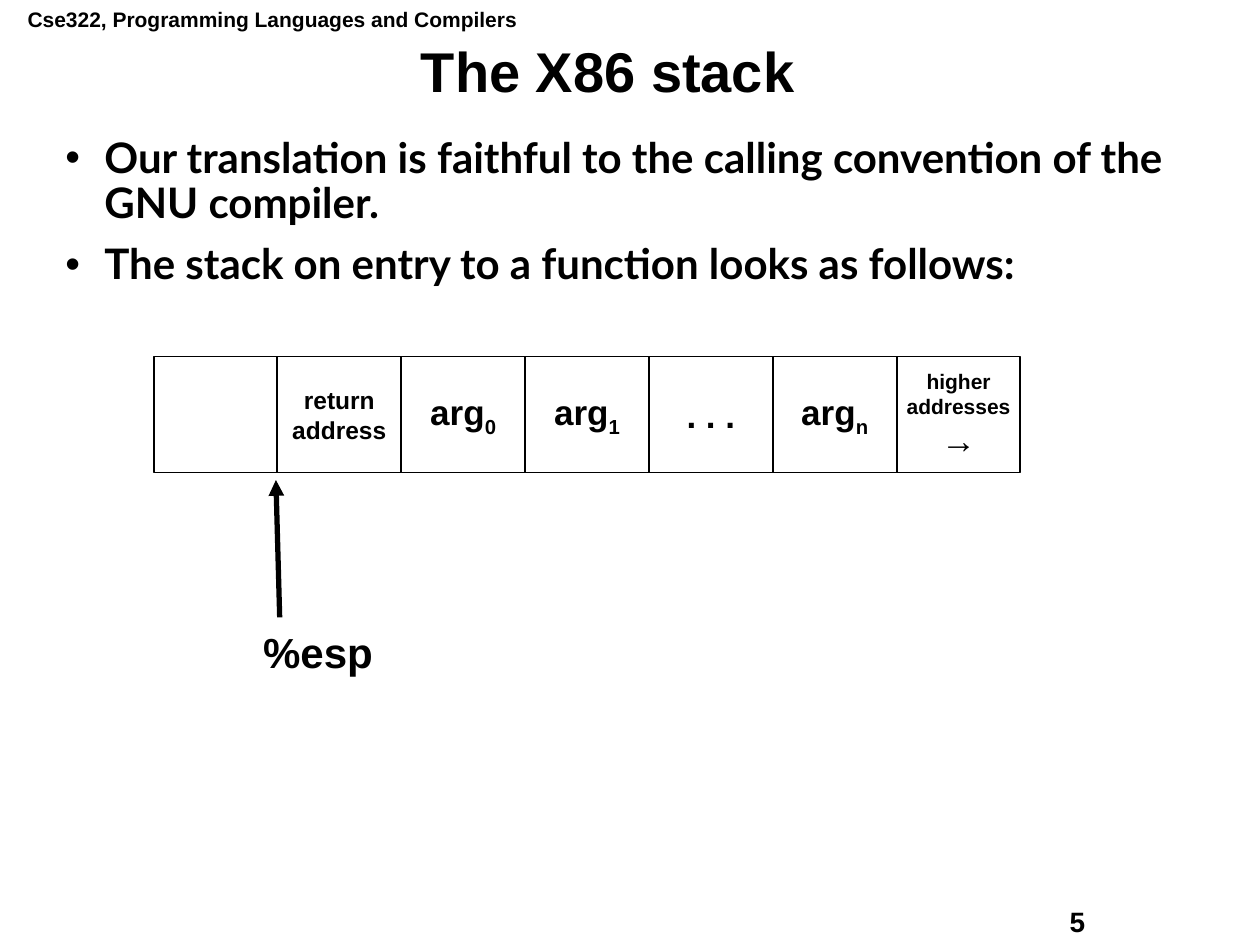
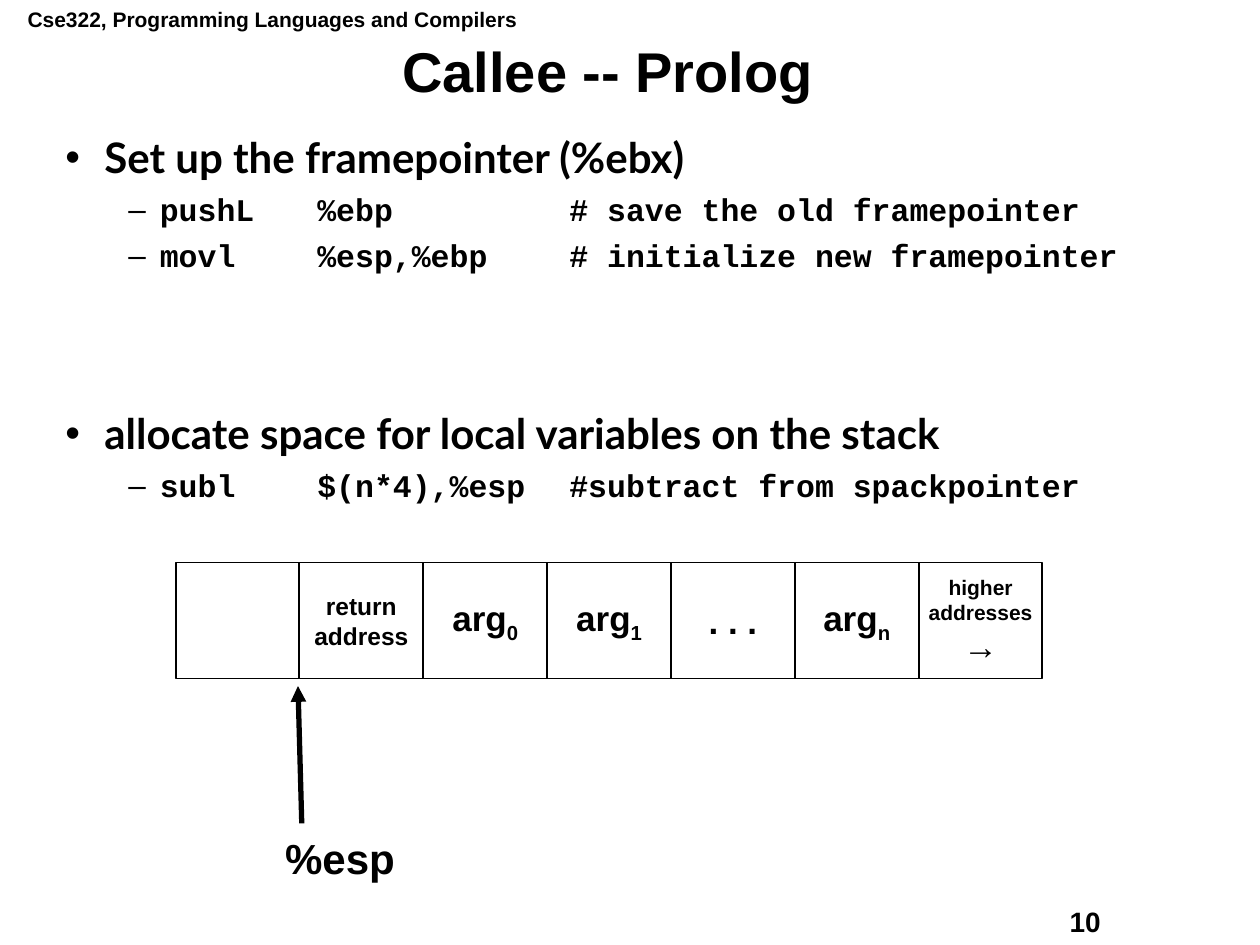
from dataclasses import dataclass

import lxml.etree
import pptx
import pptx.dml.color
import pptx.enum.shapes
import pptx.enum.text
import pptx.oxml.ns
import pptx.slide
import pptx.text.text
import pptx.util

BLACK = pptx.dml.color.RGBColor(0x00, 0x00, 0x00)
WHITE = pptx.dml.color.RGBColor(0xFF, 0xFF, 0xFF)
SANS, BODY, CODE = "Arial", "Lato", "Courier New"
CENTER = pptx.enum.text.PP_ALIGN.CENTER
MIDDLE = pptx.enum.text.MSO_ANCHOR.MIDDLE

SLIDE_WIDTH = pptx.util.Inches(10)
SLIDE_HEIGHT = pptx.util.Inches(7.5)
COURSE = "Cse322, Programming Languages and Compilers"


@dataclass(frozen=True)
class Area:
    """Left, top, width and height in percent of the slide."""
    left: float
    top: float
    width: float
    height: float

    def emu(self) -> tuple[int, int, int, int]:
        return (across(self.left), down(self.top),
                across(self.width), down(self.height))


@dataclass(frozen=True)
class Level:
    bullet: str
    font: str
    size: int
    margin: float  # inches
    hanging: float  # inches
    space_before: float  # points


@dataclass(frozen=True)
class Point:
    text: str
    level: Level
    extra_space: float = 0  # points


@dataclass(frozen=True)
class StackCell:
    lines: tuple[str, ...] = ()
    size: int = 20
    subscript: str = ""
    arrow: str = ""


@dataclass(frozen=True)
class Lesson:
    title: str
    number: int
    points: tuple[Point, ...]
    body_height: float
    stack_left: float
    stack_top: float


# Shared places, in percent of the slide
COURSE_AREA = Area(1.2, 0, 40.9, 4)
NUMBER_AREA = Area(83.9, 95.07, 12.7, 4.8)
TITLE_AREA = Area(3.1, 4.13, 90.3, 7.47)
BODY_LEFT, BODY_TOP, BODY_WIDTH = 4.2, 13.87, 89.2
CELL_PITCH, CELL_WIDTH, CELL_HEIGHT = 9.83, 9.8, 12.27

# Outline levels and the columns of the assembly code
TOPIC = Level("•", BODY, 24, 0.31, 0.31, 9)
INSTRUCTION = Level("–", CODE, 18, 0.75, 0.25, 6.8)
CODE_COLUMNS = (2, 4)

STACK = (
    StackCell(),
    StackCell(("return", "address"), 14),
    StackCell(("arg",), subscript="0"),
    StackCell(("arg",), subscript="1"),
    StackCell((". . .",)),
    StackCell(("arg",), subscript="n"),
    StackCell(("higher", "addresses"), 12, arrow="→"),
)

LESSONS = (
    Lesson("The X86 stack", 5, (
        Point("Our translation is faithful to the calling convention "
              "of the GNU compiler.", TOPIC),
        Point("The stack on entry to a function looks as follows:", TOPIC),
    ), 19.2, 12.2, 37.73),
    Lesson("Callee -- Prolog", 10, (
        Point("Set up the framepointer (%ebx)", TOPIC),
        Point("pushL\t%ebp\t# save the old framepointer", INSTRUCTION),
        Point("movl\t%esp,%ebp\t# initialize new framepointer", INSTRUCTION),
        Point("allocate space for local variables on the stack", TOPIC, 70),
        Point("subl\t$(n*4),%esp\t#subtract from spackpointer", INSTRUCTION),
    ), 79.47, 13.95, 59.53),
)


def across(percent: float) -> int:
    return round(SLIDE_WIDTH * percent / 100)


def down(percent: float) -> int:
    return round(SLIDE_HEIGHT * percent / 100)


def add_child(parent, tag: str, **attributes: str):
    child = lxml.etree.SubElement(parent, pptx.oxml.ns.qn(tag))
    for key, value in attributes.items():
        child.set(key, value)
    return child


def style(paragraph: pptx.text.text._Paragraph, size: float,
          face: str = SANS) -> None:
    for run in paragraph.runs:
        run.font.name = face
        run.font.size = pptx.util.Pt(size)
        run.font.bold = True
        run.font.color.rgb = BLACK


def add_label(slide: pptx.slide.Slide, area: Area, text: str, size: float,
              wrap: bool = False) -> None:
    frame = slide.shapes.add_textbox(*area.emu()).text_frame
    frame.word_wrap = wrap
    frame.text = text
    style(frame.paragraphs[0], size)


def set_title(slide: pptx.slide.Slide, text: str) -> None:
    title = slide.shapes.title
    title.left, title.top, title.width, title.height = TITLE_AREA.emu()
    frame = title.text_frame
    frame.text = text
    frame.vertical_anchor = MIDDLE
    frame.auto_size = pptx.enum.text.MSO_AUTO_SIZE.NONE
    heading = frame.paragraphs[0]
    heading.alignment = CENTER
    heading.line_spacing = 0.9
    style(heading, 32)


def add_points(slide: pptx.slide.Slide, lesson: Lesson) -> None:
    area = Area(BODY_LEFT, BODY_TOP, BODY_WIDTH, lesson.body_height)
    frame = slide.shapes.add_textbox(*area.emu()).text_frame
    frame.word_wrap = True
    frame.text = "\n".join(point.text for point in lesson.points)
    for index, (point, paragraph) in enumerate(
            zip(lesson.points, frame.paragraphs)):
        level = point.level
        properties = paragraph._p.get_or_add_pPr()
        properties.set("marL", str(pptx.util.Inches(level.margin)))
        properties.set("indent", str(-pptx.util.Inches(level.hanging)))
        add_child(properties, "a:buFont", typeface=SANS)
        add_child(properties, "a:buChar", char=level.bullet)
        if level is INSTRUCTION:
            stops = add_child(properties, "a:tabLst")
            for column in CODE_COLUMNS:
                add_child(stops, "a:tab", algn="l",
                          pos=str(pptx.util.Inches(column)))
        paragraph.line_spacing = 0.9
        if index:
            paragraph.space_before = pptx.util.Pt(
                level.space_before + point.extra_space)
        style(paragraph, level.size, level.font)


def fill_cell(frame: pptx.text.text.TextFrame, cell: StackCell) -> None:
    frame.word_wrap = False
    frame.vertical_anchor = MIDDLE
    frame.text = "\n".join(cell.lines)
    if cell.subscript:
        index = frame.paragraphs[0].add_run()
        index.text = cell.subscript
        index._r.get_or_add_rPr().set("baseline", "-25000")
    for paragraph in frame.paragraphs:
        paragraph.alignment = CENTER
        style(paragraph, cell.size)
    if cell.arrow:
        direction = frame.add_paragraph()
        direction.text = cell.arrow
        direction.alignment = CENTER
        style(direction, 20)


def add_stack(slide: pptx.slide.Slide, left: float, top: float) -> None:
    # Row of memory cells
    row = slide.shapes.add_group_shape()
    for column, cell in enumerate(STACK):
        area = Area(left + column * CELL_PITCH, top, CELL_WIDTH, CELL_HEIGHT)
        box = row.shapes.add_shape(
            pptx.enum.shapes.MSO_SHAPE.RECTANGLE, *area.emu())
        box.shadow.inherit = False
        box.fill.solid()
        box.fill.fore_color.rgb = WHITE
        box.line.color.rgb = BLACK
        box.line.width = pptx.util.Pt(1)
        if cell.lines:
            fill_cell(box.text_frame, cell)

    # Stack pointer
    pointer = slide.shapes.add_connector(
        pptx.enum.shapes.MSO_CONNECTOR.STRAIGHT,
        across(left + 9.7), down(top + 13.07),
        across(left + 10), down(top + 27.6))
    pointer.line.color.rgb = BLACK
    pointer.line.width = pptx.util.Pt(3)
    properties = pointer._element.spPr
    add_child(properties.find(pptx.oxml.ns.qn("a:ln")), "a:headEnd",
              type="triangle")
    add_child(properties, "a:effectLst")
    add_label(slide, Area(left + 7.7, top + 27.87, 16.2, 6.67),
              "%esp", 24, wrap=True)


def main() -> None:
    deck = pptx.Presentation()
    deck.slide_width, deck.slide_height = SLIDE_WIDTH, SLIDE_HEIGHT
    title_only = deck.slide_layouts[5]
    for lesson in LESSONS:
        slide = deck.slides.add_slide(title_only)
        add_label(slide, COURSE_AREA, COURSE, 12)
        add_label(slide, NUMBER_AREA, str(lesson.number), 16)
        set_title(slide, lesson.title)
        add_points(slide, lesson)
        add_stack(slide, lesson.stack_left, lesson.stack_top)
    deck.save("out.pptx")


if __name__ == "__main__":
    main()
